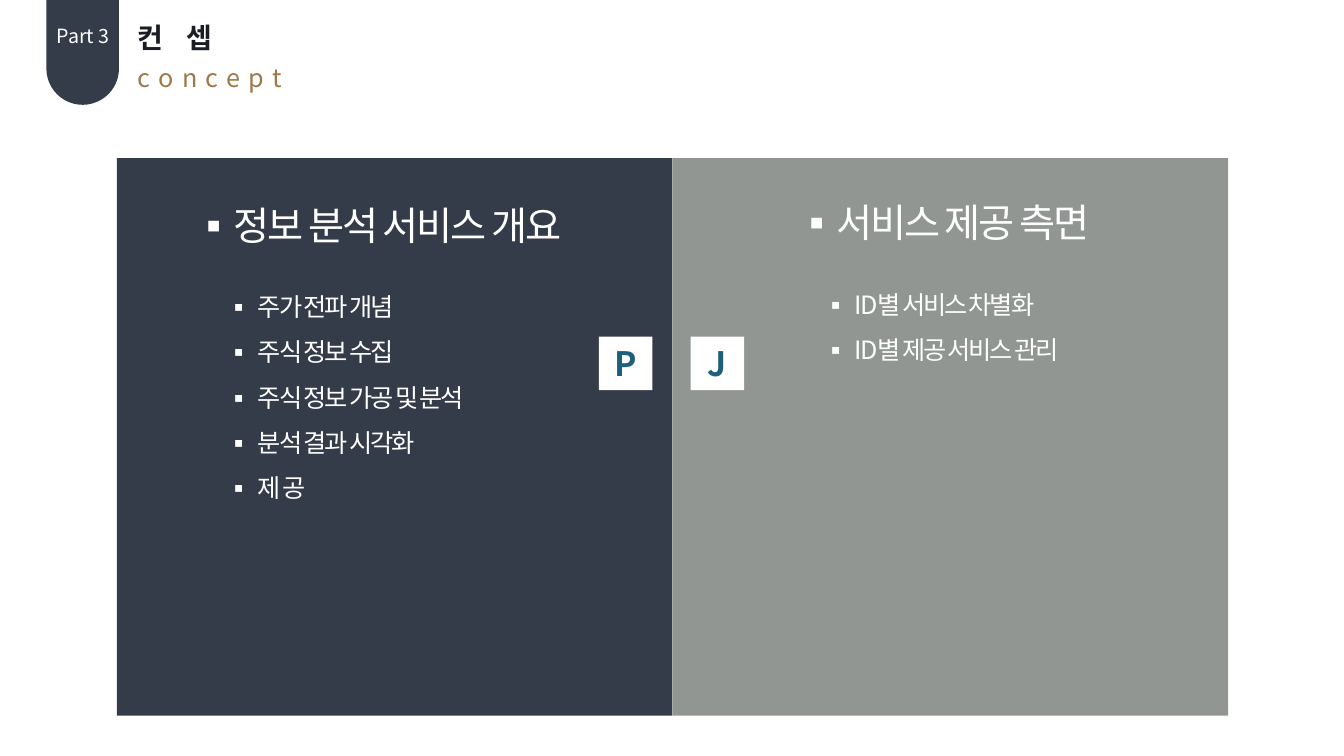
from lxml.etree import SubElement
from pptx import Presentation
from pptx.dml.color import RGBColor
from pptx.enum.shapes import MSO_SHAPE
from pptx.enum.text import MSO_ANCHOR, MSO_AUTO_SIZE, PP_ALIGN
from pptx.oxml.ns import qn
from pptx.util import Inches, Pt

FONT = "Noto Sans CJK KR"
NAVY, GRAY, WHITE = "343C49", "919693", "FFFFFF"
INK, GOLD, TEAL = "1A1E24", "9F7848", "1E5F7B"


def rgb(value):
    return RGBColor.from_string(value)


def add_block(s, x, y, w, h, color, kind=MSO_SHAPE.RECTANGLE):
    sp = s.shapes.add_shape(kind, Inches(x), Inches(y), Inches(w), Inches(h))
    sp.shadow.inherit = False
    sp.fill.solid()
    sp.fill.fore_color.rgb = rgb(color)
    sp.line.fill.background()
    return sp


def add_bullet(p):
    pPr = p._p.get_or_add_pPr()
    pPr.set("marL", str(Inches(0.31)))
    pPr.set("indent", str(Inches(-0.31)))
    SubElement(pPr, qn("a:buFont"), typeface=FONT)
    SubElement(pPr, qn("a:buChar"), char="▪")


def write(tf, text, size=18, color=WHITE, bold=False, spacing=0,
          align=PP_ALIGN.LEFT, bullet=False):
    for i, line in enumerate(text.split("\n")):
        p = tf.paragraphs[0] if i == 0 else tf.add_paragraph()
        p.alignment = align
        if bullet:
            p.line_spacing = 1.5
            add_bullet(p)
        r = p.add_run()
        r.text = line
        r.font.size = Pt(size)
        r.font.bold = bold
        r.font.name = FONT
        r.font.color.rgb = rgb(color)
        rPr = r._r.get_or_add_rPr()
        rPr.set("spc", str(int(spacing * 100)))
        SubElement(rPr, qn("a:ea"), typeface=FONT)


def add_text(s, x, y, w, h, text, wrap=False, **fmt):
    tf = s.shapes.add_textbox(Inches(x), Inches(y), Inches(w), Inches(h)).text_frame
    tf.word_wrap = wrap
    tf.auto_size = MSO_AUTO_SIZE.SHAPE_TO_FIT_TEXT
    write(tf, text, **fmt)


def add_header(s, x, y, part, title, subtitle):
    tab = add_block(s, x, y, 0.72, 1.04, NAVY, MSO_SHAPE.ROUND_2_SAME_RECTANGLE)
    tab.adjustments[0] = 0
    tab.adjustments[1] = 0.5
    add_text(s, x, y + 0.19, 0.73, 0.34, part, size=14, align=PP_ALIGN.CENTER)
    add_text(s, x + 0.81, y + 0.15, 1.11, 0.44, title,
             size=20, color=INK, bold=True, spacing=6)
    add_text(s, x + 0.81, y + 0.57, 1.7, 0.71, subtitle, color=GOLD, spacing=6)


def add_panel(s, x, y, color, heading, heading_at, items, items_at):
    add_block(s, x, y, 5.51, 5.53, color)
    for text, (dx, dy, w, h), size in ((heading, heading_at, 28), (items, items_at, 18)):
        add_text(s, x + dx, y + dy, w, h, text, wrap=True,
                 size=size, spacing=-1.5, bullet=True)


def add_tile(s, x, y, letter):
    tf = add_block(s, x, y, 0.53, 0.53, WHITE).text_frame
    tf.margin_left = tf.margin_right = tf.margin_top = tf.margin_bottom = 0
    tf.vertical_anchor = MSO_ANCHOR.MIDDLE
    tf.word_wrap = False
    write(tf, letter, size=24, color=TEAL, bold=True, align=PP_ALIGN.CENTER)


def main():
    prs = Presentation()
    prs.slide_width, prs.slide_height = Inches(13.33), Inches(7.5)
    s = prs.slides.add_slide(prs.slide_layouts[6])
    add_header(s, 0.46, 0, "Part 3", "컨 셉", "concept")
    add_panel(s, 1.16, 1.57, NAVY,
              "정보 분석 서비스 개요", (0.67, 0.14, 4.35, 0.81),
              "주가 전파 개념\n주식 정보 수집\n주식 정보 가공 및 분석\n분석 결과 시각화\n제 공",
              (0.99, 1.12, 3.38, 2.37))
    add_panel(s, 6.67, 1.57, GRAY,
              "서비스 제공 측면", (1.14, 0.11, 3.38, 0.72),
              "ID별 서비스 차별화\nID별 제공 서비스 관리", (1.4, 1.1, 4.12, 1.01))
    add_tile(s, 5.94, 3.34, "P")
    add_tile(s, 6.85, 3.34, "J")
    prs.save("out.pptx")


if __name__ == "__main__":
    main()
